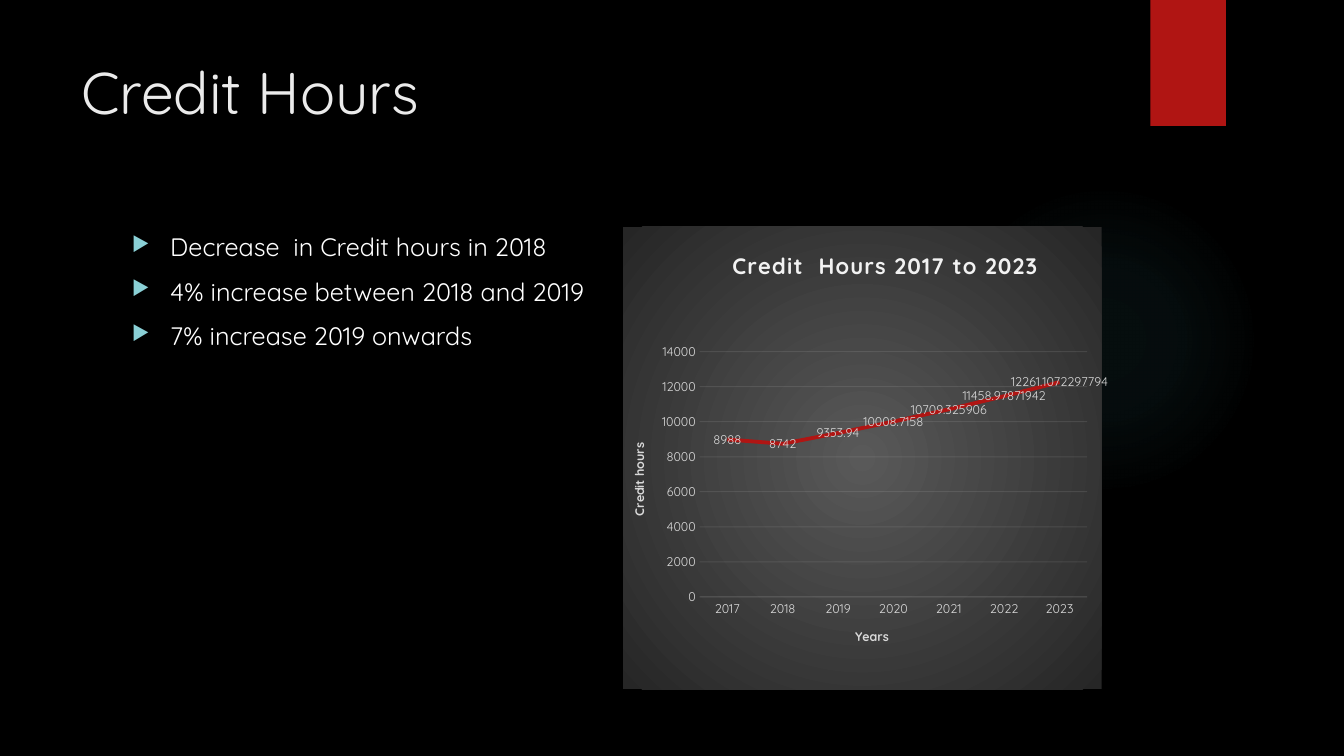
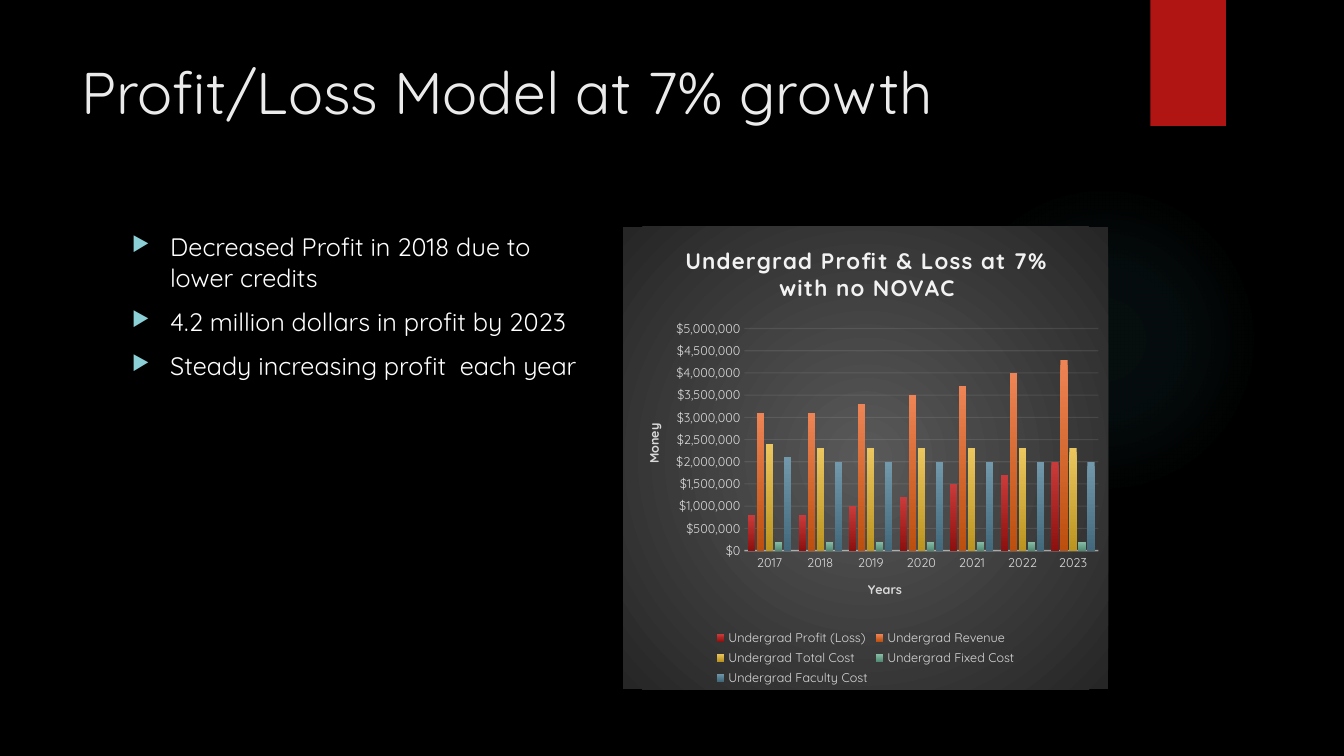
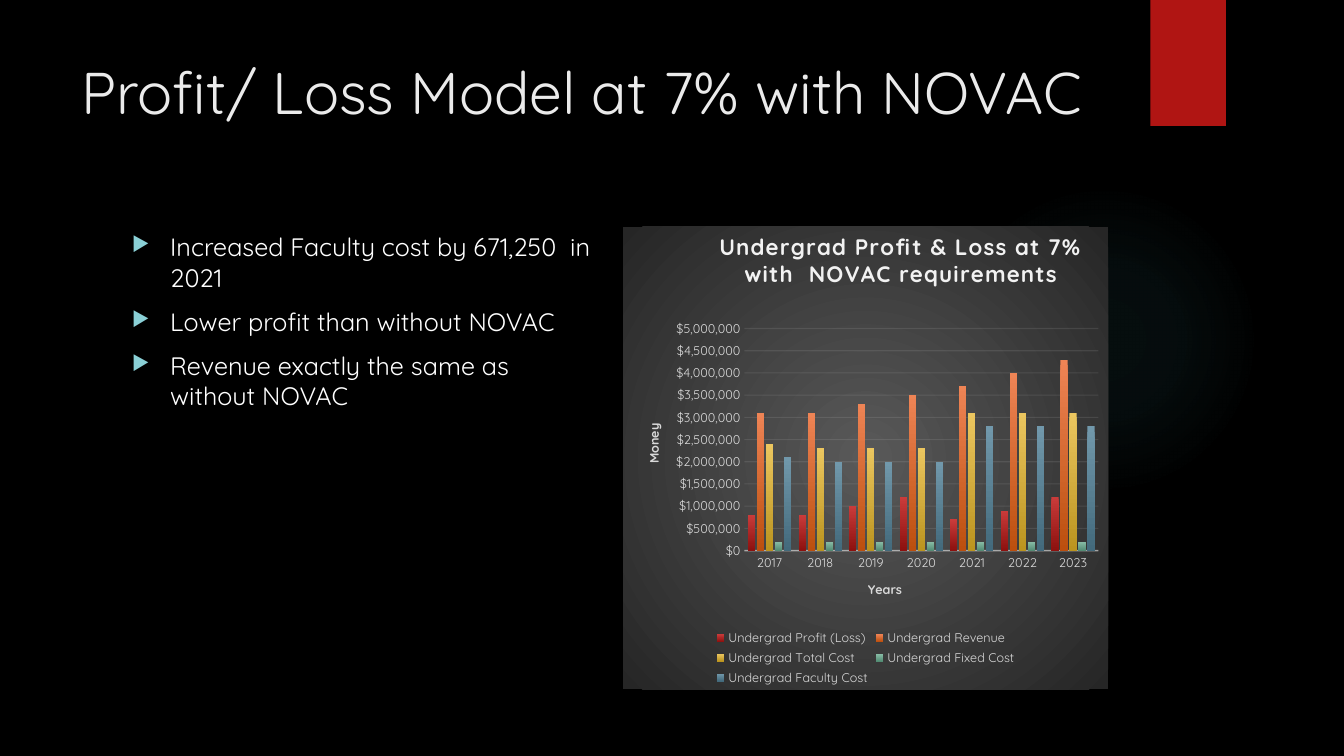
import pptx
import pptx.chart.data
import pptx.dml.color
import pptx.enum.chart
import pptx.enum.shapes
import pptx.oxml
import pptx.oxml.ns
import pptx.util

Inches = pptx.util.Inches
Pt = pptx.util.Pt

FONT = "Quicksand"
COLORS = {
    "background": "000000",
    "accent": "B01513",
    "glow": "50B9C1",
    "title": "EBEBEB",
    "body": "FFFFFF",
    "bullet": "8AD0D6",
    "chart title": "F2F2F2",
    "chart text": "D9D9D9",
    "grid": "F2F2F2",
    "panel center": "595959",
    "panel edge": "262626",
}
SERIES_GRADIENTS = [
    ("C93B3A", "8D110F"),
    ("EE8455", "BC4F0E"),
    ("EBC65F", "BB941F"),
    ("89BDA7", "538C74"),
    ("7198AB", "436A7C"),
]
YEARS = [str(year) for year in range(2017, 2024)]
CHART_BOX = [Inches(value) for value in (6.18, 2.25, 4.81, 4.59)]
CREDIT_HOURS = [8988, 8742, 9353.94, 10008.7158, 10709.325906,
                11458.97871942, 12261.1072297794]
REVENUE = [3100000, 3100000, 3300000, 3500000, 3700000, 4000000, 4300000]
FIXED_COST = [200000] * 7


def rgb(name):
    return pptx.dml.color.RGBColor.from_string(COLORS.get(name, name))


def xml(tag, content):
    """Parse one chart or drawing element."""
    namespaces = pptx.oxml.ns.nsdecls("a", "c")
    return pptx.oxml.parse_xml(f"<{tag} {namespaces}>{content}</{tag}>")


def radial_gradient(stops):
    """Stops are (position, colour name, opacity), all in percent."""
    stop_list = "".join(
        f'<a:gs pos="{position * 1000}"><a:srgbClr val="{COLORS[name]}">'
        f'<a:alpha val="{opacity * 1000}"/></a:srgbClr></a:gs>'
        for position, name, opacity in stops)
    return xml("a:gradFill", f'<a:gsLst>{stop_list}</a:gsLst><a:path path="circle">'
               '<a:fillToRect l="50000" t="50000" r="50000" b="50000"/></a:path>')


def set_font(font, size, color, bold=False):
    font.name = FONT
    font.size = Pt(size)
    font.bold = bold
    font.color.rgb = rgb(color)


def place(element, x, y, width=None, height=None):
    """Put a chart title or the plot area at fractions of the chart."""
    for old_layout in element.xpath("c:layout"):
        element.remove(old_layout)
    target = "" if width is None else '<c:layoutTarget val="inner"/>'
    content = target + '<c:xMode val="edge"/><c:yMode val="edge"/>'
    for tag, value in zip("xywh", (x, y, width, height)):
        if value is not None:
            content += f'<c:{tag} val="{value}"/>'
    layout = xml("c:layout", f"<c:manualLayout>{content}</c:manualLayout>")
    element.insert(len(element.xpath("c:tx")), layout)


def set_opacity(root, query, percent):
    for color in root.xpath(query):
        color.append(xml("a:alpha", ""))
        color[-1].set("val", str(percent * 1000))


class Deck:
    def __init__(self):
        self.presentation = pptx.Presentation()
        self.presentation.slide_width = Inches(13.33)
        self.presentation.slide_height = Inches(7.5)
        self.slide = None

    def add_slide(self, title, bullets):
        self.slide = self.presentation.slides.add_slide(
            self.presentation.slide_layouts[6])
        fill = self.slide.background.fill
        fill.solid()
        fill.fore_color.rgb = rgb("background")
        shapes = pptx.enum.shapes.MSO_SHAPE
        glow = self.shape(shapes.OVAL, 9.41, 1.83, 3.08, 3.08)
        glow.element.spPr.xpath("a:prstGeom")[0].addnext(radial_gradient(
            [(0, "glow", 7), (36, "glow", 6), (69, "glow", 0)]))
        ribbon = self.shape(shapes.RECTANGLE, 11.41, 0, 0.75, 1.25)
        ribbon.fill.solid()
        ribbon.fill.fore_color.rgb = rgb("accent")
        self.text([title], (0.71, 0.5, 10.29, 1.53), 42, "title")
        self.text(bullets, (1.21, 2.25, 4.81, 4.59), 18, "body", bulleted=True)

    def shape(self, kind, left, top, width, height):
        shape = self.slide.shapes.add_shape(
            kind, Inches(left), Inches(top), Inches(width), Inches(height))
        shape.line.fill.background()
        shape.shadow.inherit = False
        return shape

    def text(self, lines, box, size, color, bulleted=False):
        shape = self.slide.shapes.add_textbox(*[Inches(value) for value in box])
        frame = shape.text_frame
        frame.word_wrap = True
        for index, line in enumerate(lines):
            paragraph = frame.add_paragraph() if index else frame.paragraphs[0]
            paragraph.text = line
            if bulleted:
                self.bullet(paragraph)
            set_font(paragraph.font, size, color)

    def bullet(self, paragraph):
        paragraph.space_before = Pt(10)
        properties = paragraph._p.get_or_add_pPr()
        properties.set("marL", str(Inches(0.38)))
        properties.set("indent", str(-Inches(0.38)))
        color = f'<a:srgbClr val="{COLORS["bullet"]}"/>'
        marks = xml("a:pPr", f'<a:buClr>{color}</a:buClr>'
                    '<a:buSzPct val="80000"/><a:buChar char="▶"/>')
        properties.extend(list(marks))

    def chart(self, kind, series, title, value_title, plot, title_spots,
              axis_opacity, axis_width):
        """Add a chart; title_spots are for chart, category and value titles."""
        data = pptx.chart.data.CategoryChartData()
        data.categories = YEARS
        for name, values in series:
            data.add_series(name, values)
        chart = self.slide.shapes.add_chart(kind, *CHART_BOX, data).chart
        set_font(chart.font, 10, "body")
        chart.has_legend = False
        root = chart.element
        panel = xml("c:spPr", "<a:ln><a:noFill/></a:ln>")
        panel.insert(0, radial_gradient(
            [(0, "panel center", 100), (100, "panel edge", 100)]))
        root.xpath("c:chart")[0].addnext(panel)

        category_axis, value_axis = chart.category_axis, chart.value_axis
        chart.has_title = True
        for owner, label, size, color in (
                (chart.chart_title, title, 16, "chart title"),
                (category_axis.axis_title, "Years", 9, "chart text"),
                (value_axis.axis_title, value_title, 9, "chart text")):
            owner.text_frame.text = label
            set_font(owner.text_frame.paragraphs[0].font, size, color, bold=True)
        root.xpath("c:chart/c:title//a:defRPr")[0].set("spc", "100")
        rotation = root.xpath(".//c:valAx/c:title//a:bodyPr")[0]
        rotation.set("rot", "-5400000")
        rotation.set("vert", "horz")
        for query, spot in zip(("c:chart/c:title", ".//c:catAx/c:title",
                                ".//c:valAx/c:title"), title_spots):
            place(root.xpath(query)[0], *spot)
        place(root.xpath(".//c:plotArea")[0], *plot)

        for axis in (category_axis, value_axis):
            axis.major_tick_mark = pptx.enum.chart.XL_TICK_MARK.NONE
            axis.minor_tick_mark = pptx.enum.chart.XL_TICK_MARK.NONE
            set_font(axis.tick_labels.font, 9, "chart text")
        value_axis.has_major_gridlines = True
        value_axis.format.line.fill.background()
        for line, width in ((value_axis.major_gridlines.format.line, 0.75),
                            (category_axis.format.line, axis_width)):
            line.color.rgb = rgb("grid")
            line.width = Pt(width)
        set_opacity(root, ".//c:majorGridlines//a:srgbClr", 10)
        set_opacity(root, ".//c:catAx/c:spPr//a:srgbClr", axis_opacity)
        value_axis.minimum_scale = 0
        chart.plots[0].vary_by_categories = False
        return chart

    def line_chart(self, title, value_title, values):
        chart = self.chart(
            pptx.enum.chart.XL_CHART_TYPE.LINE, [("Series 1", values)],
            title, value_title, plot=(0.16, 0.27, 0.81, 0.53),
            title_spots=[(0.22, 0.04), (0.48, 0.86), (0.01, 0.46)],
            axis_opacity=10, axis_width=0.75)
        chart.value_axis.maximum_scale = 14000
        chart.value_axis.major_unit = 2000
        series = chart.plots[0].series[0]
        series.smooth = False
        series.format.line.color.rgb = rgb("accent")
        series.format.line.width = Pt(2.75)
        labels = series.data_labels
        labels.show_value = True
        labels.position = pptx.enum.chart.XL_LABEL_POSITION.CENTER
        set_font(labels.font, 9, "chart text")

    def column_chart(self, title, title_spot, profit, total_cost, faculty_cost):
        series = [
            ("Undergrad Profit (Loss)", profit),
            ("Undergrad Revenue", REVENUE),
            ("Undergrad Total Cost", total_cost),
            ("Undergrad Fixed Cost", FIXED_COST),
            ("Undergrad Faculty Cost", faculty_cost),
        ]
        chart = self.chart(
            pptx.enum.chart.XL_CHART_TYPE.COLUMN_CLUSTERED, series,
            title, "Money", plot=(0.25, 0.22, 0.73, 0.48),
            title_spots=[title_spot, (0.5, 0.76), (0.04, 0.42)],
            axis_opacity=54, axis_width=1)
        chart.value_axis.maximum_scale = 5000000
        chart.value_axis.major_unit = 500000
        tick_labels = chart.value_axis.tick_labels
        tick_labels.number_format = '"$"#,##0'
        tick_labels.number_format_is_linked = False
        plot = chart.plots[0]
        plot.gap_width = 100
        plot.overlap = -24
        for column, gradient in zip(plot.series, SERIES_GRADIENTS):
            fill = column.format.fill
            fill.gradient()
            fill.gradient_angle = 270
            for stop, color in zip(fill.gradient_stops, gradient):
                stop.color.rgb = rgb(color)
        chart.has_legend = True
        chart.legend.position = pptx.enum.chart.XL_LEGEND_POSITION.BOTTOM
        chart.legend.include_in_layout = False
        set_font(chart.legend.font, 9, "chart text")


def main():
    deck = Deck()

    deck.add_slide("Credit Hours", [
        "Decrease  in Credit hours in 2018",
        "4% increase between 2018 and 2019",
        "7% increase 2019 onwards"])
    deck.line_chart("Credit  Hours 2017 to 2023", "Credit hours", CREDIT_HOURS)

    deck.add_slide("Profit/Loss Model at 7% growth", [
        "Decreased Profit in 2018 due to lower credits",
        "4.2 million dollars in profit by 2023",
        "Steady increasing profit  each year"])
    deck.column_chart(
        "Undergrad Profit & Loss at 7% with no NOVAC", (0.12, 0.03),
        profit=[800000, 800000, 1000000, 1200000, 1500000, 1700000, 2000000],
        total_cost=[2400000] + [2300000] * 6,
        faculty_cost=[2100000] + [2000000] * 6)

    deck.add_slide("Profit/ Loss Model at 7% with NOVAC", [
        "Increased Faculty cost by 671,250  in 2021",
        "Lower profit than without NOVAC",
        "Revenue exactly the same as without NOVAC"])
    deck.column_chart(
        "Undergrad Profit & Loss at 7% with  NOVAC requirements", (0.19, 0),
        profit=[800000, 800000, 1000000, 1200000, 700000, 900000, 1200000],
        total_cost=[2400000] + [2300000] * 3 + [3100000] * 3,
        faculty_cost=[2100000] + [2000000] * 3 + [2800000] * 3)

    deck.presentation.save("out.pptx")


if __name__ == "__main__":
    main()
